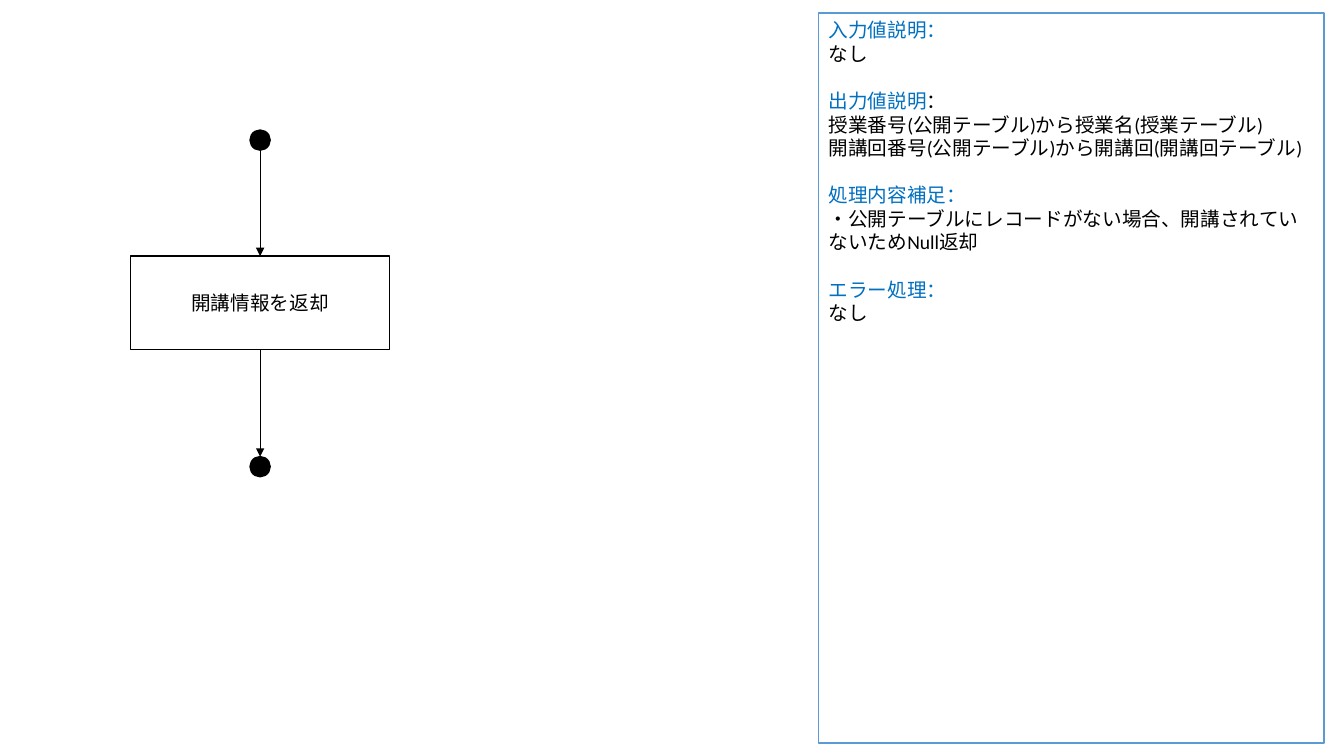
"""Build a flowchart slide with a panel of processing notes."""
import pptx
import pptx.dml.color
import pptx.enum.shapes
import pptx.enum.text
import pptx.oxml.ns
import pptx.util
from lxml import etree

Inches = pptx.util.Inches
Pt = pptx.util.Pt
RGBColor = pptx.dml.color.RGBColor
Shapes = pptx.enum.shapes.MSO_SHAPE
Align = pptx.enum.text.PP_ALIGN
Anchor = pptx.enum.text.MSO_ANCHOR

BLACK = RGBColor(0x00, 0x00, 0x00)
WHITE = RGBColor(0xFF, 0xFF, 0xFF)
PANEL_BLUE = RGBColor(0x5B, 0x9B, 0xD5)
HEADING_BLUE = RGBColor(0x00, 0x70, 0xC0)

FLOW_CENTER = 2.58
DOT_SIZE = 0.2
START_TOP, END_TOP = 1.29, 4.53
STEP_TOP, STEP_WIDTH, STEP_HEIGHT = 2.54, 2.57, 0.93

NOTES = [
    ("入力値説明", HEADING_BLUE, ["なし"]),
    ("出力値説明", BLACK, [
        "授業番号(公開テーブル)から授業名(授業テーブル)",
        "開講回番号(公開テーブル)から開講回(開講回テーブル)",
    ]),
    ("処理内容補足", HEADING_BLUE, [
        "・公開テーブルにレコードがない場合、開講されていないためNull返却",
    ]),
    ("エラー処理", HEADING_BLUE, ["なし"]),
]


def add_box(slide, kind, left, top, width, height, fill, line):
    """Add a preset shape with a solid fill and a one-point outline."""
    shape = slide.shapes.add_shape(
        kind, Inches(left), Inches(top), Inches(width), Inches(height))
    shape.shadow.inherit = False
    shape.fill.solid()
    shape.fill.fore_color.rgb = fill
    shape.line.color.rgb = line
    shape.line.width = Pt(1)
    return shape


def add_dot(slide, top):
    """Add a black start or end dot on the flow axis."""
    add_box(slide, Shapes.OVAL, FLOW_CENTER - DOT_SIZE / 2, top,
            DOT_SIZE, DOT_SIZE, BLACK, BLACK)


def add_arrow(slide, top, bottom):
    """Add a downward arrow on the flow axis."""
    arrow = slide.shapes.add_connector(
        pptx.enum.shapes.MSO_CONNECTOR.STRAIGHT,
        Inches(FLOW_CENTER), Inches(top), Inches(FLOW_CENTER), Inches(bottom))
    arrow.line.color.rgb = BLACK
    arrow.line.width = Pt(0.5)
    qn = pptx.oxml.ns.qn
    etree.SubElement(arrow.line._get_or_add_ln(), qn("a:tailEnd"), type="triangle")
    etree.SubElement(arrow._element.spPr, qn("a:effectLst"))


def add_run(paragraph, text, color):
    """Append a formatted run to a paragraph."""
    run = paragraph.add_run()
    run.text = text
    run.font.name = "Calibri"
    run.font.size = Pt(14)
    run.font.color.rgb = color


def add_step(slide, text):
    """Add the process box with its centred label."""
    step = add_box(slide, Shapes.FLOWCHART_PROCESS, FLOW_CENTER - STEP_WIDTH / 2,
                   STEP_TOP, STEP_WIDTH, STEP_HEIGHT, WHITE, BLACK)
    step.text_frame.vertical_anchor = Anchor.MIDDLE
    paragraph = step.text_frame.paragraphs[0]
    paragraph.alignment = Align.CENTER
    add_run(paragraph, text, BLACK)


def add_notes_panel(slide):
    """Add the panel of headed notes."""
    panel = add_box(slide, Shapes.FLOWCHART_PROCESS, 8.12, 0.13, 5.01, 7.24,
                    WHITE, PANEL_BLUE)
    frame = panel.text_frame
    frame.word_wrap = True
    frame.vertical_anchor = Anchor.TOP
    for index, (heading, colon_color, lines) in enumerate(NOTES):
        paragraph = frame.add_paragraph() if index else frame.paragraphs[0]
        paragraph.alignment = Align.LEFT
        paragraph.space_before = Pt(17 if index else 0)
        add_run(paragraph, heading, HEADING_BLUE)
        add_run(paragraph, "：", colon_color)
        for line in lines:
            paragraph = frame.add_paragraph()
            paragraph.alignment = Align.LEFT
            add_run(paragraph, line, BLACK)


def main():
    """Build and save the slide."""
    presentation = pptx.Presentation()
    presentation.slide_width = Inches(13.33)
    presentation.slide_height = Inches(7.5)
    slide = presentation.slides.add_slide(presentation.slide_layouts[6])
    add_dot(slide, START_TOP)
    add_dot(slide, END_TOP)
    add_arrow(slide, START_TOP + DOT_SIZE, STEP_TOP)
    add_step(slide, "開講情報を返却")
    add_arrow(slide, STEP_TOP + STEP_HEIGHT, END_TOP)
    add_notes_panel(slide)
    presentation.save("out.pptx")


main()
